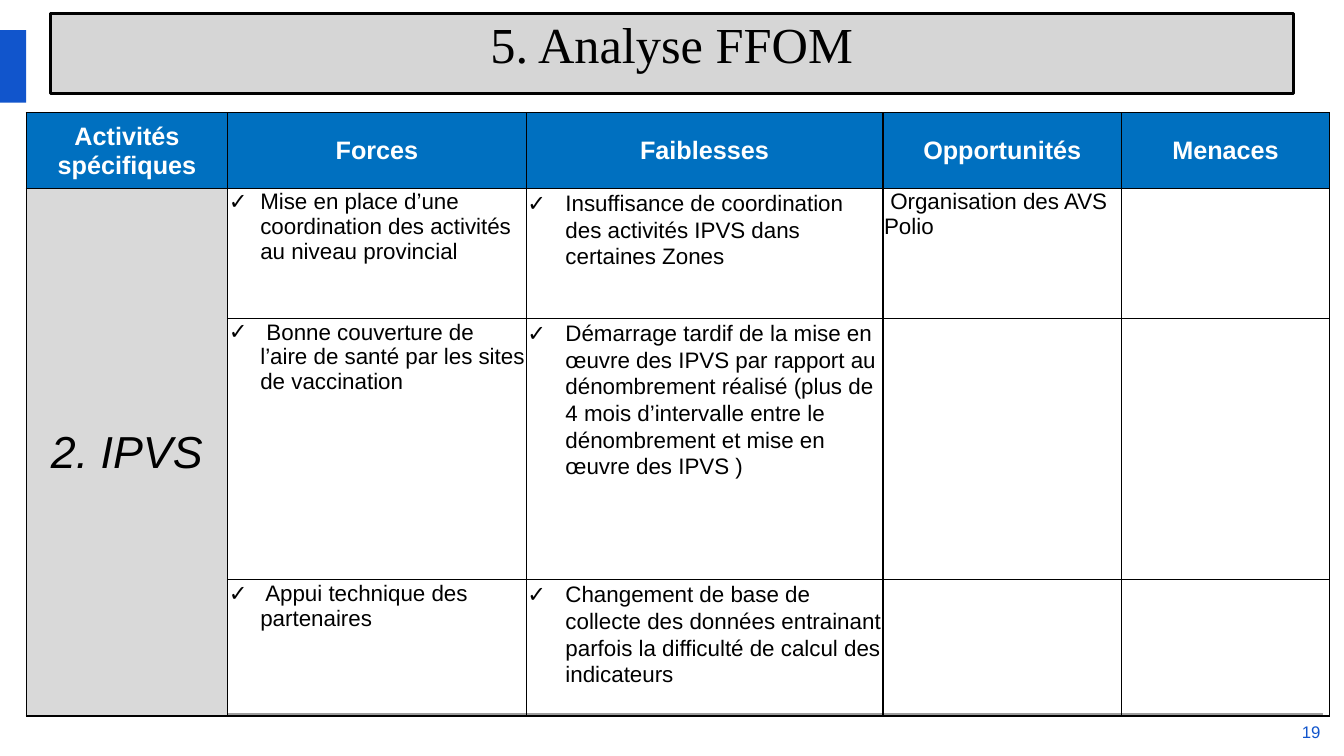
"""Build the FFOM analysis slide for the IPVS activities."""
from dataclasses import dataclass

from lxml import etree
from pptx import Presentation
from pptx.dml.color import RGBColor
from pptx.enum.shapes import MSO_CONNECTOR, MSO_SHAPE
from pptx.enum.text import MSO_ANCHOR, MSO_AUTO_SIZE, PP_ALIGN
from pptx.oxml.ns import qn
from pptx.util import Cm, Pt

STRAIGHT = MSO_CONNECTOR.STRAIGHT
RECTANGLE = MSO_SHAPE.RECTANGLE
TOP, MIDDLE = MSO_ANCHOR.TOP, MSO_ANCHOR.MIDDLE
NO_FIT = MSO_AUTO_SIZE.NONE
LEFT, CENTER, RIGHT = PP_ALIGN.LEFT, PP_ALIGN.CENTER, PP_ALIGN.RIGHT

TITLE = "5. Analyse FFOM"
PAGE = "19"
HEADINGS = ["Activités spécifiques", "Forces", "Faiblesses", "Opportunités", "Menaces"]
ACTIVITY = "2. IPVS"
FINDINGS = [
    ("Mise en place d’une coordination des activités au niveau provincial",
     "Insuffisance de coordination des activités IPVS dans certaines Zones",
     " Organisation des AVS Polio", ""),
    (" Bonne couverture de l’aire de santé par les sites de vaccination",
     "Démarrage tardif de la mise en œuvre des IPVS par rapport au dénombrement "
     "réalisé (plus de 4 mois d’intervalle entre le dénombrement et mise en œuvre des IPVS )",
     "", ""),
    (" Appui technique des partenaires",
     "Changement de base de collecte des données entrainant parfois la difficulté "
     "de calcul des indicateurs", "", ""),
]

COLUMN_WIDTHS = [5.08, 7.52, 8.99, 6.02, 5.23]
ROW_HEIGHTS = [1.91, 3.28, 6.58, 3.43]
CHECK_INDENTS = {1: 0.79, 2: 0.96}
LINE_SPACINGS = {2: 1.07}


@dataclass(frozen=True)
class Theme:
    """Colours, fonts and type sizes of the slide."""
    accent: str = "1155CC"
    header: str = "0070C0"
    activity: str = "D9D9D9"
    banner: str = "D6D6D6"
    rule: str = "9E9E9E"
    ink: str = "000000"
    paper: str = "FFFFFF"
    body: str = "Arial"
    display: str = "Times New Roman"
    title_size: int = 36
    activity_size: int = 32
    header_size: int = 18
    finding_size: int = 16
    page_size: int = 12


THEME = Theme()
HEADING_FONT = {"name": THEME.body, "size": Pt(THEME.header_size), "bold": True, "italic": False}
ACTIVITY_FONT = {"name": THEME.body, "size": Pt(THEME.activity_size), "bold": False, "italic": True}
FINDING_FONT = {"name": THEME.body, "size": Pt(THEME.finding_size), "bold": False, "italic": False}
TITLE_FONT = {"name": THEME.display, "size": Pt(THEME.title_size), "bold": False}
PAGE_FONT = {"name": THEME.body, "size": Pt(THEME.page_size)}
NO_MARGINS = dict.fromkeys(("margin_left", "margin_right", "margin_top", "margin_bottom"), 0)
CELL_MARGINS = {**NO_MARGINS, "margin_left": Cm(0.03), "margin_right": Cm(0.03),
                "margin_top": Cm(0.03)}


def assign(target, values):
    """Set every attribute listed in values."""
    for attribute, value in values.items():
        setattr(target, attribute, value)


def paint(fill, colour):
    """Give a solid colour to a fill."""
    fill.solid()
    fill.fore_color.rgb = RGBColor.from_string(colour)


def place(shape, left, top, width, height):
    """Position a shape in centimetres."""
    assign(shape, {"left": Cm(left), "top": Cm(top), "width": Cm(width), "height": Cm(height)})


def write(frame, text, font, colour, alignment):
    """Write one formatted paragraph and return it."""
    paragraph = frame.paragraphs[0]
    paragraph.alignment = alignment
    if not text:
        assign(paragraph.font, font)
        return paragraph
    run = paragraph.add_run()
    run.text = text
    assign(run.font, font)
    run.font.color.rgb = RGBColor.from_string(colour)
    return paragraph


def add_check(paragraph, indent):
    """Give a paragraph a hanging check mark."""
    properties = paragraph._p.get_or_add_pPr()
    properties.set("marL", str(Cm(indent)))
    properties.set("indent", str(-Cm(indent)))
    colour = etree.SubElement(properties, qn("a:buClr"))
    etree.SubElement(colour, qn("a:srgbClr"), val=THEME.ink)
    etree.SubElement(properties, qn("a:buFont"), typeface=THEME.body)
    etree.SubElement(properties, qn("a:buChar"), char="✓")


def add_borders(cell):
    """Draw a thin line on the four sides of a cell."""
    properties = cell._tc.get_or_add_tcPr()
    for side in ("a:lnL", "a:lnR", "a:lnT", "a:lnB"):
        border = etree.SubElement(properties, qn(side), w=str(Pt(1)))
        solid = etree.SubElement(border, qn("a:solidFill"))
        etree.SubElement(solid, qn("a:srgbClr"), val=THEME.ink)


def add_title(slide):
    """Turn the title placeholder into the framed banner."""
    title = slide.shapes.title
    place(title, 1.27, 0.33, 31.32, 2.03)
    paint(title.fill, THEME.banner)
    paint(title.line.fill, THEME.ink)
    title.line.width = Pt(2.25)
    assign(title.text_frame, {**NO_MARGINS, "vertical_anchor": TOP, "word_wrap": True,
                              "auto_size": NO_FIT})
    write(title.text_frame, TITLE, TITLE_FONT, THEME.ink, CENTER)


def add_frame_marks(slide):
    """Add the accent tab, the page number and the footer rule."""
    tab = slide.shapes.add_shape(RECTANGLE, 0, Cm(0.76), Cm(0.66), Cm(1.83))
    paint(tab.fill, THEME.accent)
    tab.line.fill.background()
    tab.shadow.inherit = False

    page = slide.shapes.add_textbox(Cm(32.38), Cm(18.2), Cm(0.9), Cm(0.46))
    assign(page.text_frame, {**NO_MARGINS, "vertical_anchor": MIDDLE, "word_wrap": True})
    write(page.text_frame, PAGE, PAGE_FONT, THEME.accent, RIGHT)

    rule = slide.shapes.add_connector(STRAIGHT, Cm(0.74), Cm(17.99), Cm(33.35), Cm(17.99))
    paint(rule.line.fill, THEME.rule)
    rule.line.width = Pt(1)
    etree.SubElement(rule._element.spPr, qn("a:effectLst"))


def add_analysis(slide):
    """Add the table of strengths, weaknesses, opportunities and threats."""
    rows = [HEADINGS] + [("", *finding) for finding in FINDINGS]
    graphic = slide.shapes.add_table(len(rows), len(HEADINGS), Cm(0.66), Cm(2.84),
                                     Cm(sum(COLUMN_WIDTHS)), Cm(sum(ROW_HEIGHTS)))
    table = graphic.table
    assign(table, {"first_row": False, "horz_banding": False})
    for column, width in zip(table.columns, COLUMN_WIDTHS):
        column.width = Cm(width)
    for row, height in zip(table.rows, ROW_HEIGHTS):
        row.height = Cm(height)
    table.cell(1, 0).merge(table.cell(len(FINDINGS), 0))

    for row_index, texts in enumerate(rows):
        for column_index, text in enumerate(texts):
            cell = table.cell(row_index, column_index)
            add_borders(cell)
            assign(cell, CELL_MARGINS)
            if row_index == 0:
                paint(cell.fill, THEME.header)
                cell.vertical_anchor = MIDDLE
                write(cell.text_frame, text, HEADING_FONT, THEME.paper, CENTER)
            elif column_index == 0:
                paint(cell.fill, THEME.activity)
                if cell.is_merge_origin:
                    cell.vertical_anchor = MIDDLE
                    write(cell.text_frame, ACTIVITY, ACTIVITY_FONT, THEME.ink, CENTER)
            else:
                cell.fill.background()
                paragraph = write(cell.text_frame, text, FINDING_FONT, THEME.ink, LEFT)
                if column_index in CHECK_INDENTS:
                    add_check(paragraph, CHECK_INDENTS[column_index])
                if column_index in LINE_SPACINGS:
                    paragraph.line_spacing = LINE_SPACINGS[column_index]


def main():
    """Assemble and save the presentation."""
    presentation = Presentation()
    assign(presentation, {"slide_width": Cm(33.87), "slide_height": Cm(19.05)})
    slide = presentation.slides.add_slide(presentation.slide_layouts[5])
    add_title(slide)
    add_frame_marks(slide)
    add_analysis(slide)
    presentation.save("out.pptx")


if __name__ == "__main__":
    main()
